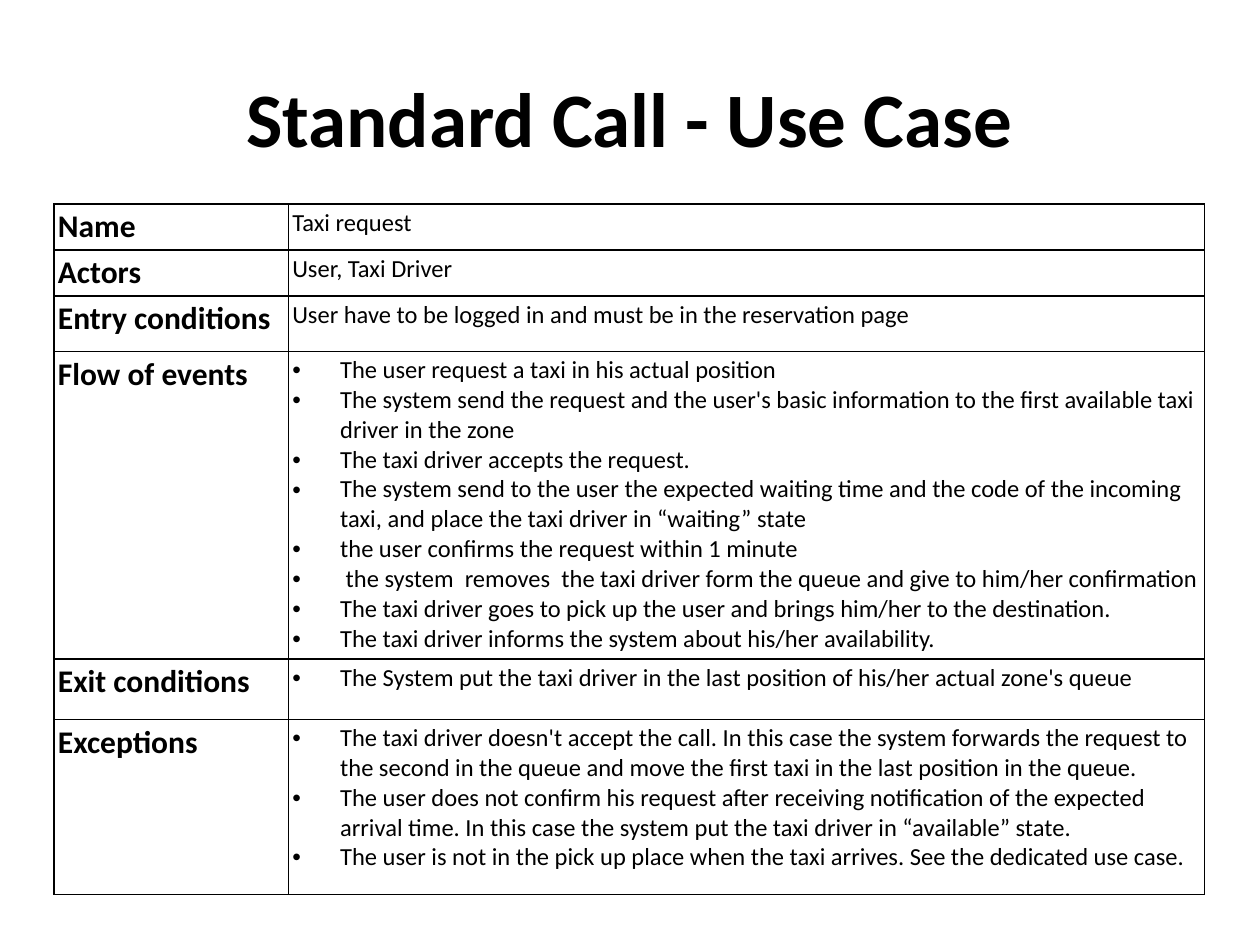
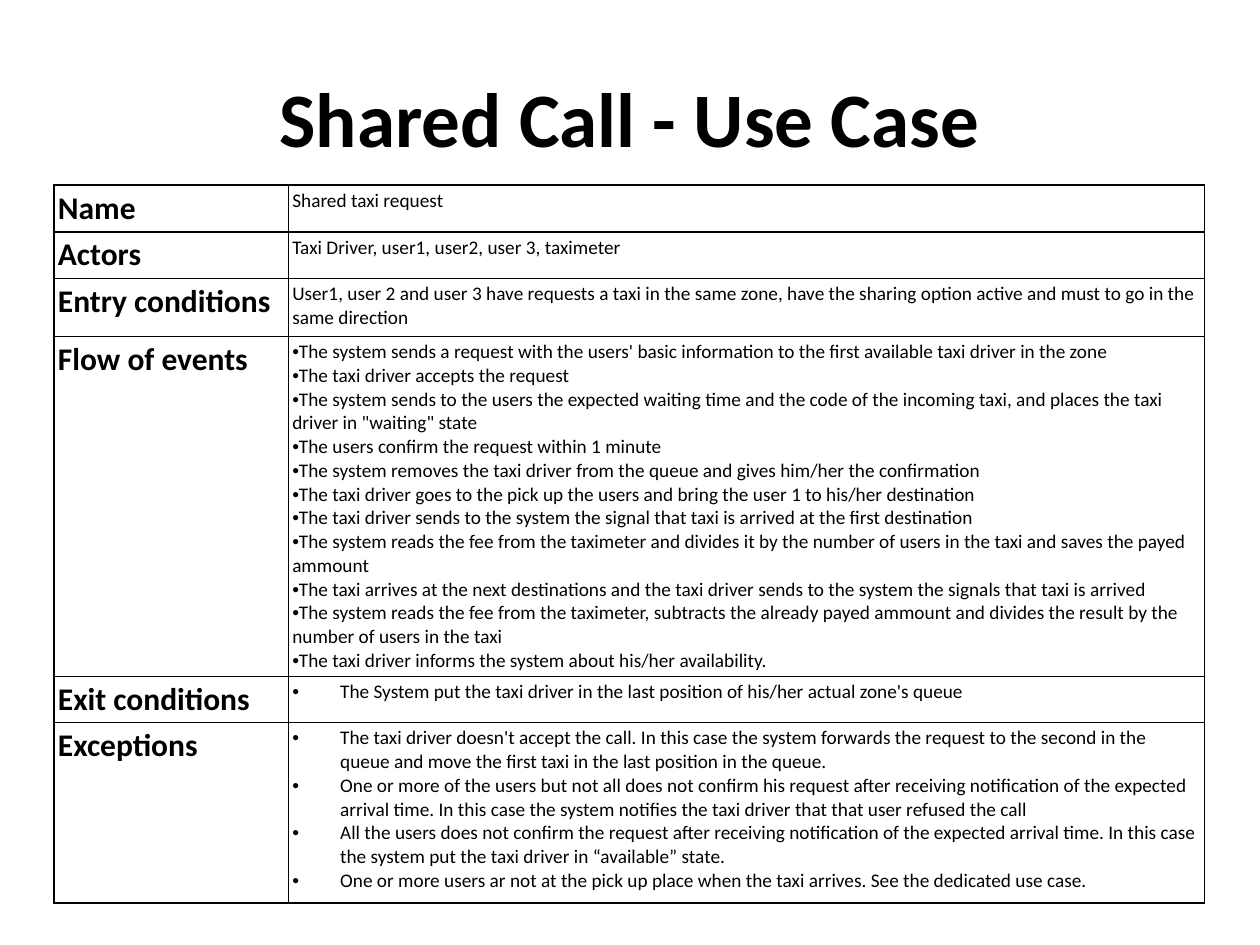
from lxml.etree import SubElement
from pptx import Presentation
from pptx.dml.color import RGBColor
from pptx.enum.text import MSO_ANCHOR as Anchor, PP_ALIGN as Align
from pptx.oxml.ns import qn
from pptx.util import Inches, Pt

# Shared look
BLACK = RGBColor(0x00, 0x00, 0x00)
FONT = "Calibri"
TITLE_BOX = (0.5, 0.3, 9, 1.25)
TABLE_LEFT = 0.43
COLUMN_WIDTHS = (1.86, 7.27)
CELL_FORMAT = {"vertical_anchor": Anchor.TOP, **{
    f"margin_{side}": Inches(0.03) for side in ("left", "right", "top", "bottom")}}
HANGING = 0.38
LABELS = ("Name", "Actors", "Entry conditions", "Flow of events",
          "Exit conditions", "Exceptions")

# Each use case: plain cells are strings, bulleted cells are lists
STANDARD_CALL = {
    "title": "Standard Call - Use Case",
    "top": 1.62,
    "row_heights": (0.36, 0.36, 0.44, 2.44, 0.48, 1.39),
    "text_size": 14,
    "flow_indent": HANGING,
    "details": (
        "Taxi request",
        "User, Taxi Driver",
        "User have to be logged in and must be in the reservation page",
        [
            "The user request a taxi in his actual position",
            "The system send the request and the user's basic information to the "
            "first available taxi driver in the zone",
            "The taxi driver accepts the request.",
            "The system send to the user the expected waiting time and the code of "
            "the incoming taxi, and place the taxi driver in “waiting” state",
            "the user confirms the request within 1 minute",
            " the system  removes  the taxi driver form the queue and give to "
            "him/her confirmation",
            "The taxi driver goes to pick up the user and brings him/her to the "
            "destination.",
            "The taxi driver informs the system about his/her availability.",
        ],
        ["The System put the taxi driver in the last position of his/her actual "
         "zone's queue"],
        [
            "The taxi driver doesn't accept the call. In this case the system "
            "forwards the request to the second in the queue and move the first "
            "taxi in the last position in the queue.",
            "The user does not confirm his request after receiving notification of "
            "the expected arrival time. In this case the system put the taxi driver "
            "in “available” state.",
            "The user is not in the pick up place when the taxi arrives. See the "
            "dedicated use case.",
        ],
    ),
}

SHARED_CALL = {
    "title": "Shared Call - Use Case",
    "top": 1.47,
    "row_heights": (0.37, 0.37, 0.46, 2.7, 0.36, 1.43),
    "text_size": 11,
    "flow_indent": 0,
    "details": (
        "Shared taxi request",
        "Taxi Driver, user1, user2, user 3, taximeter",
        "User1, user 2 and user 3 have requests a taxi in the same zone, have the "
        "sharing option active and must to go in the same direction",
        [
            "The system sends a request with the users' basic information to the "
            "first available taxi driver in the zone",
            "The taxi driver accepts the request",
            "The system sends to the users the expected waiting time and the code of "
            "the incoming taxi, and places the taxi driver in \"waiting\" state",
            "The users confirm the request within 1 minute",
            "The system removes the taxi driver from the queue and gives him/her the "
            "confirmation",
            "The taxi driver goes to the pick up the users and bring the user 1 to "
            "his/her destination",
            "The taxi driver sends to the system the signal that taxi is arrived at "
            "the first destination",
            "The system reads the fee from the taximeter and divides it by the "
            "number of users in the taxi and saves the payed ammount",
            "The taxi arrives at the next destinations and the taxi driver sends to "
            "the system the signals that taxi is arrived",
            "The system reads the fee from the taximeter, subtracts the already "
            "payed ammount and divides the result by the number of users in the taxi",
            "The taxi driver informs the system about his/her availability.",
        ],
        ["The System put the taxi driver in the last position of his/her actual "
         "zone's queue"],
        [
            "The taxi driver doesn't accept the call. In this case the system "
            "forwards the request to the second in the queue and move the first "
            "taxi in the last position in the queue.",
            "One or more of the users but not all does not confirm his request after "
            "receiving notification of the expected arrival time. In this case the "
            "system notifies the taxi driver that that user refused the call",
            "All the users does not confirm the request after receiving notification "
            "of the expected arrival time. In this case the system put the taxi "
            "driver in “available” state.",
            "One or more users ar not at the pick up place when the taxi arrives. "
            "See the dedicated use case.",
        ],
    ),
}


def set_all(target, values):
    for name, value in values.items():
        setattr(target, name, value)


def write(para, text, size, bold=False):
    span = para.add_run()
    span.text = text
    set_all(span.font, {"name": FONT, "size": Pt(size), "bold": bold})
    span.font.color.rgb = BLACK


def add_bullet(para, indent):
    props = para._p.get_or_add_pPr()
    props.set("marL", str(Inches(indent)))
    props.set("indent", str(-Inches(indent)))
    SubElement(props, qn("a:buFont"), typeface="Arial")
    SubElement(props, qn("a:buChar"), char="•")


def format_cell(cell):
    """Black one-point frame, no fill, narrow margins."""
    set_all(cell, CELL_FORMAT)
    props = cell._tc.get_or_add_tcPr()
    for edge in ("lnL", "lnR", "lnT", "lnB"):
        line = SubElement(props, qn(f"a:{edge}"), w=str(Pt(1)))
        paint = SubElement(line, qn("a:solidFill"))
        SubElement(paint, qn("a:srgbClr"), val=str(BLACK))
    cell.fill.background()


def fill_detail(cell, detail, size, indent):
    frame = cell.text_frame
    if isinstance(detail, str):
        write(frame.paragraphs[0], detail, size)
        return
    for number, text in enumerate(detail):
        para = frame.add_paragraph() if number else frame.paragraphs[0]
        add_bullet(para, indent)
        write(para, text, size)


def place_title(page, text, box):
    title = page.shapes.title
    set_all(title, dict(zip(("left", "top", "width", "height"), map(Inches, box))))
    title.text_frame.vertical_anchor = Anchor.MIDDLE
    para = title.text_frame.paragraphs[0]
    para.alignment = Align.CENTER
    write(para, text, 44, bold=True)


def place_table(page, case, left, top):
    heights = case["row_heights"]
    table = page.shapes.add_table(
        len(LABELS), len(COLUMN_WIDTHS), Inches(left), Inches(top),
        Inches(sum(COLUMN_WIDTHS)), Inches(sum(heights))).table
    set_all(table, {"first_row": False, "horz_banding": False})
    for column, width in zip(table.columns, COLUMN_WIDTHS):
        column.width = Inches(width)
    for row, height, label, detail in zip(table.rows, heights, LABELS, case["details"]):
        row.height = Inches(height)
        for cell in row.cells:
            format_cell(cell)
        label_cell, detail_cell = row.cells
        write(label_cell.text_frame.paragraphs[0], label, 18, bold=True)
        indent = case["flow_indent"] if label == "Flow of events" else HANGING
        fill_detail(detail_cell, detail, case["text_size"], indent)


def add_use_case(deck, case):
    page = deck.slides.add_slide(deck.slide_layouts.get_by_name("Title Only"))
    place_title(page, case["title"], TITLE_BOX)
    place_table(page, case, TABLE_LEFT, case["top"])


def main():
    deck = Presentation()
    set_all(deck, {"slide_width": Inches(10), "slide_height": Inches(7.5)})
    for case in (STANDARD_CALL, SHARED_CALL):
        add_use_case(deck, case)
    deck.save("out.pptx")


if __name__ == "__main__":
    main()
